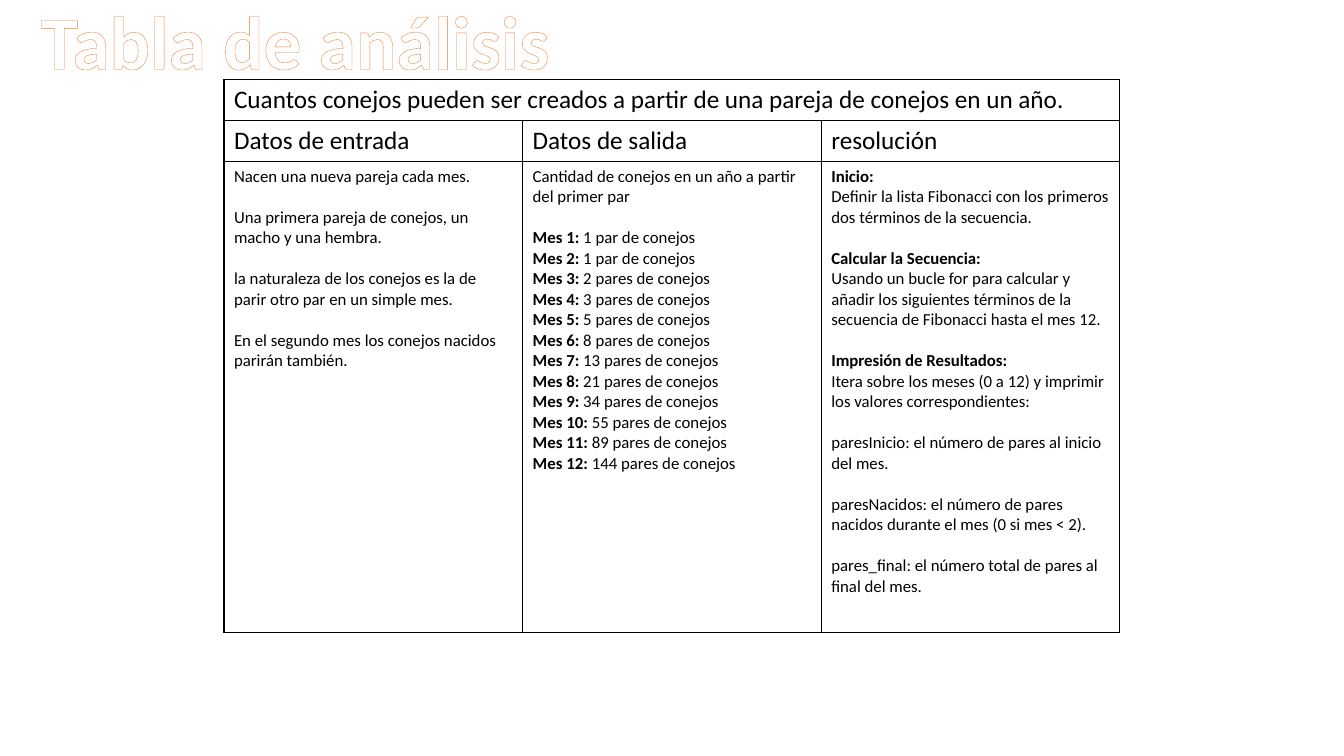
import pptx
import pptx.dml.color
import pptx.enum.text
import pptx.oxml
import pptx.oxml.ns
import pptx.util

Pt = pptx.util.Pt
FONT = "Calibri"
BLACK, WHITE, ORANGE = "000000", "FFFFFF", "ED7D31"
BLANK_LINE = 14.65  # height of one 12 pt line

QUESTION = "Cuantos conejos pueden ser creados a partir de una pareja de conejos en un año."
HEADINGS = ["Datos de entrada", "Datos de salida", "resolución"]

# Each cell is a list of blocks; a block is a list of (bold, plain) lines
INPUTS = [
    [("", "Nacen una nueva pareja cada mes.")],
    [("", "Una primera pareja de conejos, un macho y una hembra.")],
    [("", "la naturaleza de los conejos es la de parir otro par en un simple mes.")],
    [("", "En el segundo mes los conejos nacidos parirán también.")],
]
SOLUTION = [
    [("Inicio:", ""),
     ("", "Definir la lista Fibonacci con los primeros dos términos de la secuencia.")],
    [("Calcular la Secuencia:", ""),
     ("", "Usando un bucle for para calcular y añadir los siguientes términos "
          "de la secuencia de Fibonacci hasta el mes 12.")],
    [("Impresión de Resultados:", ""),
     ("", "Itera sobre los meses (0 a 12) y imprimir los valores correspondientes:")],
    [("", "paresInicio: el número de pares al inicio del mes.")],
    [("", "paresNacidos: el número de pares nacidos durante el mes (0 si mes < 2).")],
    [("", "pares_final: el número total de pares al final del mes.")],
]


def color(hex_value):
    return pptx.dml.color.RGBColor.from_string(hex_value)


def line_xml(tag, width, hex_value):
    return pptx.oxml.parse_xml(
        f'<a:{tag} {pptx.oxml.ns.nsdecls("a")} w="{int(Pt(width))}">'
        f'<a:solidFill><a:srgbClr val="{hex_value}"/></a:solidFill></a:{tag}>')


def add_run(paragraph, text, hex_value=BLACK, **font_format):
    run = paragraph.add_run()
    run.text = text
    for name, value in {"name": FONT, "bold": False, **font_format}.items():
        setattr(run.font, name, value)
    run.font.color.rgb = color(hex_value)
    return run


def monthly_pairs(months):
    """Lines with the Fibonacci number of pairs for each month."""
    lines, pairs, following = [], 1, 1
    for month in range(1, months + 1):
        noun = "par" if pairs == 1 else "pares"
        lines.append((f"Mes {month}:", f" {pairs} {noun} de conejos"))
        pairs, following = following, pairs + following
    return lines


def write_blocks(cell, blocks, size):
    paragraph = cell.text_frame.paragraphs[0]
    for block_index, block in enumerate(blocks):
        for line_index, (bold, plain) in enumerate(block):
            if block_index or line_index:
                paragraph = cell.text_frame.add_paragraph()
            if block_index and not line_index:
                paragraph.space_before = Pt(BLANK_LINE)
            if bold:
                add_run(paragraph, bold, size=Pt(size), bold=True)
            if plain:
                add_run(paragraph, plain, size=Pt(size))


def add_title(slide, text):
    title = slide.shapes.add_textbox(Pt(20.2), Pt(-7.9), Pt(381.6), Pt(72.7))
    title.text_frame.word_wrap = False
    paragraph = title.text_frame.paragraphs[0]
    paragraph.alignment = pptx.enum.text.PP_ALIGN.CENTER
    run = add_run(paragraph, text, WHITE, size=Pt(54), bold=True)
    run.font._element.insert(0, line_xml("ln", 0.52, ORANGE))


def add_analysis_table(slide):
    row_heights = [29.2, 29.2, 336.6]
    column_width = 213.33
    analysis = slide.shapes.add_table(
        3, 3, Pt(160), Pt(56.9), Pt(3 * column_width), Pt(sum(row_heights))).table
    for name, value in {"first_row": False, "horz_banding": False}.items():
        setattr(analysis, name, value)
    for row, height in zip(analysis.rows, row_heights):
        row.height = Pt(height)
    for column in analysis.columns:
        column.width = Pt(column_width)

    # Black grid without fill
    for cell in analysis.iter_cells():
        borders = cell._tc.get_or_add_tcPr()
        for side in ("lnL", "lnR", "lnT", "lnB"):
            borders.append(line_xml(side, 1, BLACK))
        cell.fill.background()

    # Question across the top, then headings and contents
    analysis.cell(0, 0).merge(analysis.cell(0, 2))
    write_blocks(analysis.cell(0, 0), [[("", QUESTION)]], 18)
    outputs = [
        [("", "Cantidad de conejos en un año a partir del primer par")],
        monthly_pairs(12),
    ]
    for index, blocks in enumerate([INPUTS, outputs, SOLUTION]):
        write_blocks(analysis.cell(1, index), [[("", HEADINGS[index])]], 18)
        write_blocks(analysis.cell(2, index), blocks, 12)


def main():
    deck = pptx.Presentation()
    deck.slide_width, deck.slide_height = Pt(960), Pt(540)
    slide = deck.slides.add_slide(deck.slide_layouts[6])
    add_analysis_table(slide)
    add_title(slide, "Tabla de análisis")
    deck.save("out.pptx")


if __name__ == "__main__":
    main()
